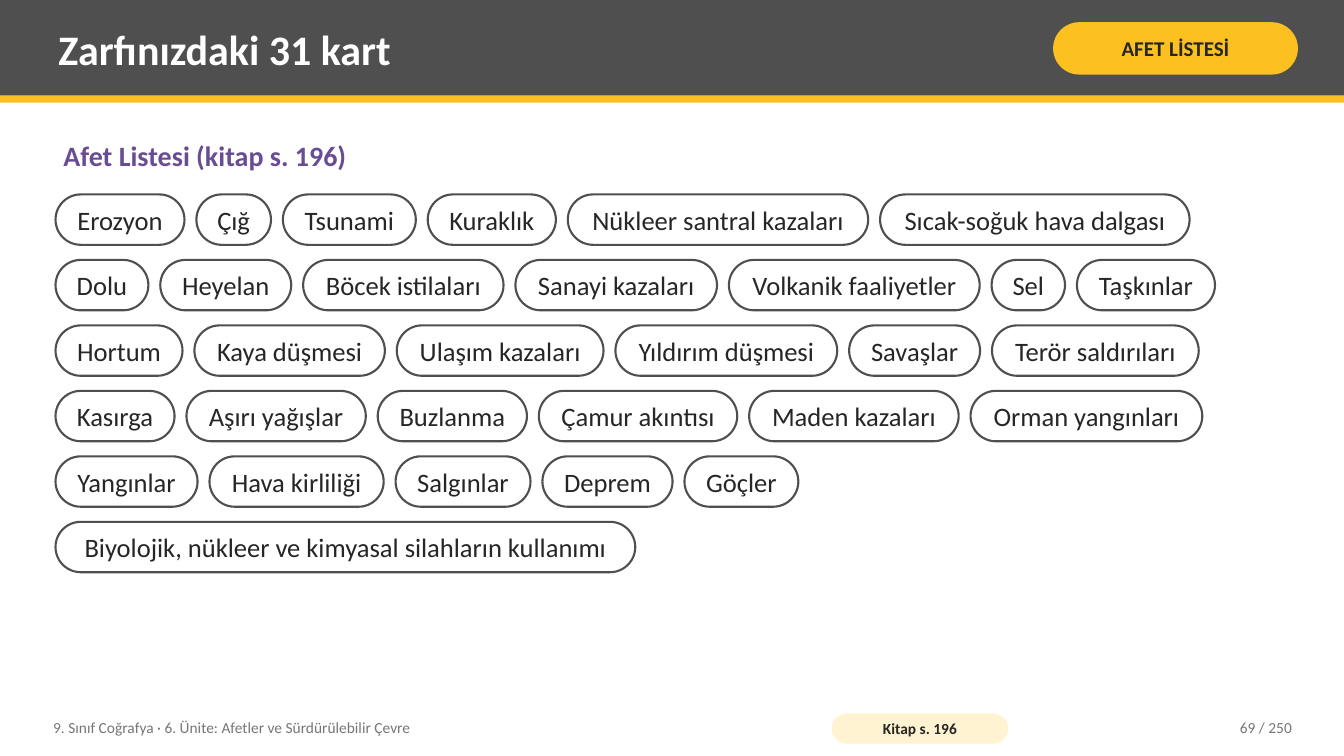
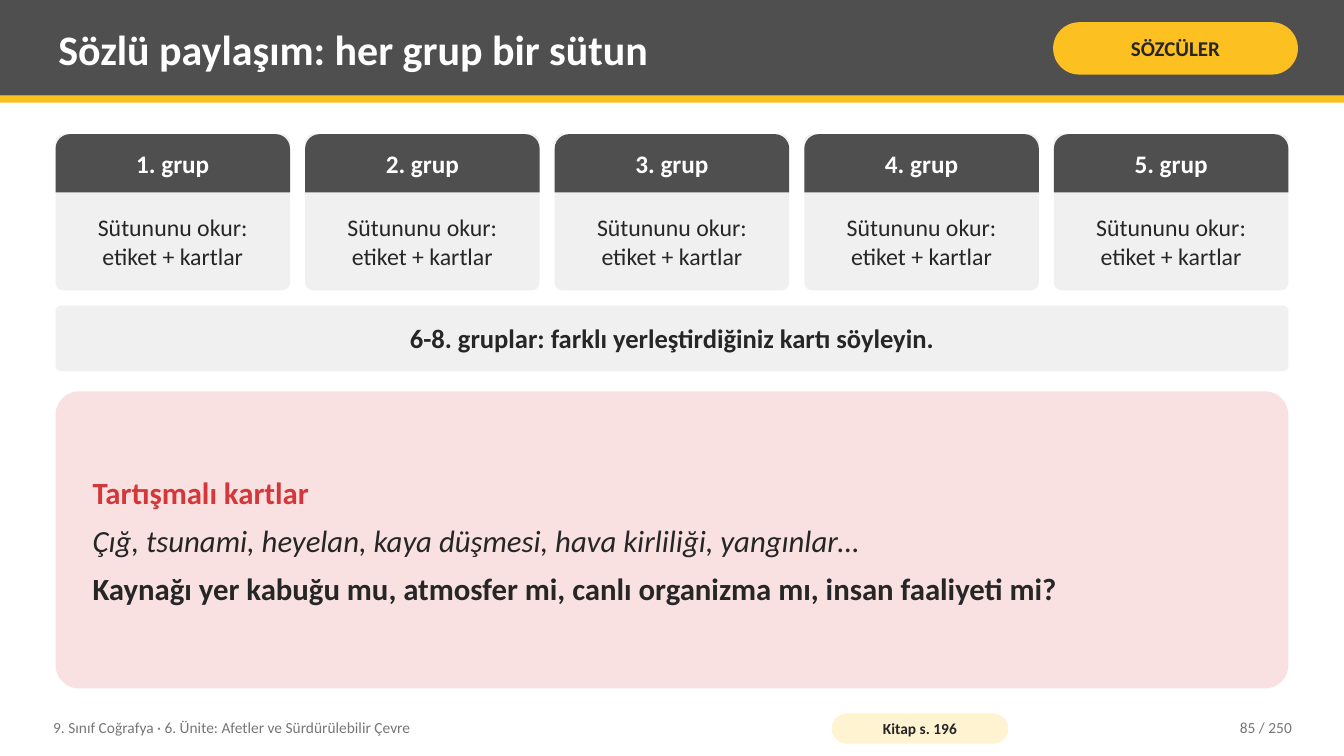
from pptx import Presentation
from pptx.dml.color import RGBColor
from pptx.enum.shapes import MSO_SHAPE as Geo
from pptx.enum.text import MSO_ANCHOR as Anchor, MSO_AUTO_SIZE as AutoSize, PP_ALIGN as Align
from pptx.util import Cm, Pt

COLORS = {
    "dark": "4F4F4F",
    "yellow": "FCC021",
    "cream": "FFF3D1",
    "ink": "262626",
    "white": "FFFFFF",
    "purple": "6A4C93",
    "muted": "767676",
    "panel": "F0F0F0",
    "pink": "F9E1E1",
    "red": "D3373A",
}
FONT = "Calibri"
TITLE_ONLY = 5

# Shared layout, in centimetres
SLIDE_W, SLIDE_H = 33.87, 19.05
MARGIN, CONTENT_W = 1.4, 31.07
CONTENT_TOP = 3.38
TEXT_INSETS = (0.2, 0.1, 0.2, 0.1)

COURSE = "9. Sınıf Coğrafya · 6. Ünite: Afetler ve Sürdürülebilir Çevre"
BOOK_PAGE = "Kitap s. 196"
PAGE_COUNT = 250

# Rows of cards: name and width
CARD_ROWS = [
    [("Erozyon", 3.25), ("Çığ", 1.88), ("Tsunami", 3.35), ("Kuraklık", 3.23),
     ("Nükleer santral kazaları", 7.57), ("Sıcak-soğuk hava dalgası", 7.8)],
    [("Dolu", 2.34), ("Heyelan", 3.3), ("Böcek istilaları", 5.05),
     ("Sanayi kazaları", 5.08), ("Volkanik faaliyetler", 6.32), ("Sel", 1.85),
     ("Taşkınlar", 3.48)],
    [("Hortum", 3.2), ("Kaya düşmesi", 4.8), ("Ulaşım kazaları", 5.21),
     ("Yıldırım düşmesi", 5.59), ("Savaşlar", 3.3), ("Terör saldırıları", 5.21)],
    [("Kasırga", 3), ("Aşırı yağışlar", 4.52), ("Buzlanma", 3.76),
     ("Çamur akıntısı", 5), ("Maden kazaları", 5.28), ("Orman yangınları", 5.84)],
    [("Yangınlar", 3.58), ("Hava kirliliği", 4.39), ("Salgınlar", 3.4),
     ("Deprem", 3.28), ("Göçler", 2.87)],
    [("Biyolojik, nükleer ve kimyasal silahların kullanımı", 14.61)],
]


def rgb(name):
    return RGBColor.from_string(COLORS[name])


def set_frame(frame, insets=TEXT_INSETS, anchor=Anchor.MIDDLE):
    frame.word_wrap = True
    frame.auto_size = AutoSize.NONE
    frame.vertical_anchor = anchor
    (frame.margin_left, frame.margin_top,
     frame.margin_right, frame.margin_bottom) = map(Cm, insets)


def write(paragraph, text, size, color="ink", bold=False, italic=False, align=Align.LEFT):
    paragraph.alignment = align
    run = paragraph.add_run()
    run.text = text
    font = run.font
    font.name, font.size, font.bold, font.italic = FONT, Pt(size), bold, italic
    font.color.rgb = rgb(color)


def add_block(slide, box, fill, geometry=Geo.RECTANGLE, radius=None, outline=None):
    """Filled shape; box is left, top, width, height in cm."""
    block = slide.shapes.add_shape(geometry, *map(Cm, box))
    block.shadow.inherit = False
    block.fill.solid()
    block.fill.fore_color.rgb = rgb(fill)
    if radius is not None:
        block.adjustments[0] = radius
    if outline:
        block.line.color.rgb = rgb(outline)
        block.line.width = Pt(1.5)
    else:
        block.line.fill.background()
    return block


def add_panel(slide, box, fill, text, size, radius=0.5, insets=TEXT_INSETS,
              geometry=Geo.ROUNDED_RECTANGLE, outline=None, **style):
    """Rounded shape with one centred line of text."""
    frame = add_block(slide, box, fill, geometry, radius, outline).text_frame
    set_frame(frame, insets)
    write(frame.paragraphs[0], text, size, align=Align.CENTER, **style)


def add_label(slide, box, text, size, color, anchor=Anchor.MIDDLE, **style):
    frame = slide.shapes.add_textbox(*map(Cm, box)).text_frame
    set_frame(frame, anchor=anchor)
    write(frame.paragraphs[0], text, size, color, **style)


def add_page(deck, heading, tag, number):
    """Slide with header band, title, tag and footer."""
    slide = deck.slides.add_slide(deck.slide_layouts[TITLE_ONLY])

    # Header band
    add_block(slide, (0, 0, SLIDE_W, 2.41), "dark")
    add_block(slide, (0, 2.41, SLIDE_W, 0.18), "yellow")

    # Title, brought in front of the band
    title = slide.shapes.title
    title.left, title.top, title.width, title.height = map(Cm, (1.27, 0.18, 24.77, 2.08))
    set_frame(title.text_frame)
    write(title.text_frame.paragraphs[0], heading, 30, "white", bold=True)
    slide.shapes._spTree.append(title._element)
    add_panel(slide, (26.54, 0.56, 6.17, 1.32), "yellow", tag, 15, bold=True)

    # Footer
    add_label(slide, (1.14, 17.88, 19.3, 0.91), COURSE, 11, "muted")
    add_panel(slide, (20.96, 17.98, 4.45, 0.76), "cream", BOOK_PAGE, 11,
              insets=(0.1, 0, 0.1, 0), bold=True)
    add_label(slide, (28.7, 17.88, 4.06, 0.91), f"{number} / {PAGE_COUNT}", 11, "muted",
              align=Align.RIGHT)
    return slide


def add_card_rows(slide, rows, top=4.9, height=1.27, pitch=1.65, gap=0.3):
    for index, row in enumerate(rows):
        left = MARGIN
        for name, width in row:
            add_panel(slide, (left, top + index * pitch, width, height), "white", name, 19,
                      insets=(0.15, 0, 0.15, 0), outline="dark")
            left += width + gap


def add_group_columns(slide, count=5, gap=0.38, height=3.94, header=1.47):
    width = (CONTENT_W - (count - 1) * gap) / count
    for index in range(count):
        left = MARGIN + index * (width + gap)
        add_panel(slide, (left, CONTENT_TOP, width, height), "panel",
                  "Sütununu okur: etiket + kartlar", 17, radius=0.05,
                  insets=(0.5, header, 0.5, 0))
        # The bottom inset balances the text area lost to the rounded top
        add_panel(slide, (left, CONTENT_TOP, width, header), "dark", f"{index + 1}. grup", 18,
                  radius=0.25, insets=(0.2, 0, 0.2, 0.11),
                  geometry=Geo.ROUND_2_SAME_RECTANGLE, color="white", bold=True)


def add_discussion(slide, box, lines):
    frame = add_block(slide, box, "pink", Geo.ROUNDED_RECTANGLE, 0.08).text_frame
    set_frame(frame, (0.76, 0.2, 0.76, 0.2))
    for index, (text, style) in enumerate(lines):
        paragraph = frame.add_paragraph() if index else frame.paragraphs[0]
        write(paragraph, text, 22, **style)
        if index < len(lines) - 1:
            paragraph.space_after = Pt(8)


def build_card_list(deck):
    slide = add_page(deck, "Zarfınızdaki 31 kart", "AFET LİSTESİ", 69)
    add_label(slide, (MARGIN, CONTENT_TOP, CONTENT_W, 1.27), "Afet Listesi (kitap s. 196)",
              20, "purple", anchor=Anchor.TOP, bold=True)
    add_card_rows(slide, CARD_ROWS)


def build_group_sharing(deck):
    slide = add_page(deck, "Sözlü paylaşım: her grup bir sütun", "SÖZCÜLER", 85)
    add_group_columns(slide)
    add_panel(slide, (MARGIN, 7.7, CONTENT_W, 1.65), "panel",
              "6-8. gruplar: farklı yerleştirdiğiniz kartı söyleyin.", 19,
              radius=0.08, bold=True)
    add_discussion(slide, (MARGIN, 9.86, CONTENT_W, 7.49), [
        ("Tartışmalı kartlar", {"color": "red", "bold": True}),
        ("Çığ, tsunami, heyelan, kaya düşmesi, hava kirliliği, yangınlar…", {"italic": True}),
        ("Kaynağı yer kabuğu mu, atmosfer mi, canlı organizma mı, insan faaliyeti mi?",
         {"bold": True}),
    ])


def main():
    deck = Presentation()
    deck.slide_width, deck.slide_height = Cm(SLIDE_W), Cm(SLIDE_H)
    build_card_list(deck)
    build_group_sharing(deck)
    deck.save("out.pptx")


if __name__ == "__main__":
    main()
